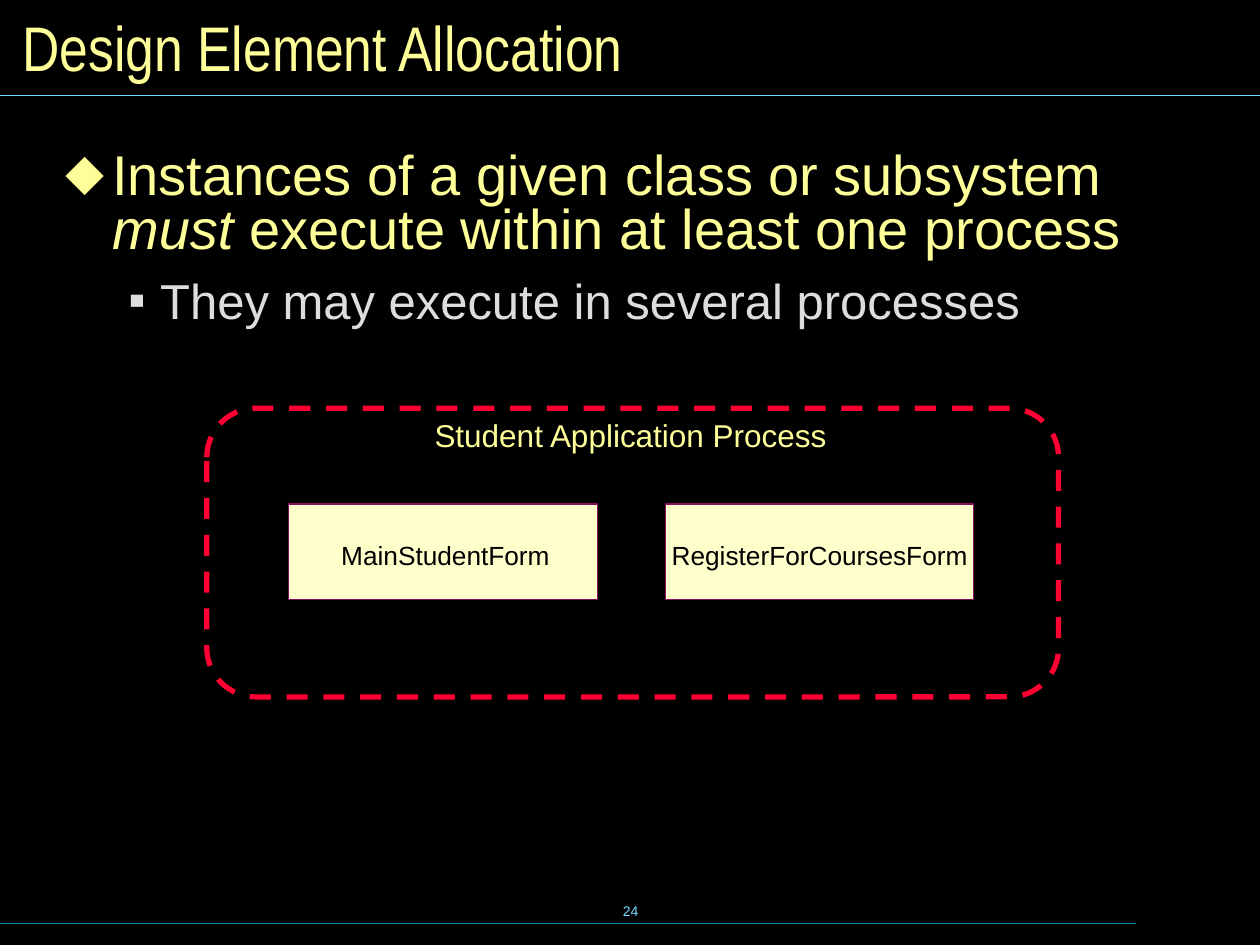
import pptx
import pptx.util
import pptx.dml.color
import pptx.enum.dml
import pptx.enum.shapes
import pptx.enum.text
import lxml.etree
import pptx.oxml.ns

Cm, Pt = pptx.util.Cm, pptx.util.Pt
SHAPE = pptx.enum.shapes.MSO_SHAPE
ALIGN = pptx.enum.text.PP_ALIGN
ANCHOR = pptx.enum.text.MSO_ANCHOR
qn = pptx.oxml.ns.qn
YELLOW, CYAN, CREAM, GRAY = "FFFF99", "73E1FF", "FFFFCC", "DDDDDD"


def color(value):
    return pptx.dml.color.RGBColor.from_string(value)


def add_run(paragraph, text, size, value, font="Arial", italic=False):
    run = paragraph.add_run()
    run.text = text
    run.font.size = Pt(size)
    run.font.name = font
    run.font.italic = italic
    run.font.color.rgb = color(value)


presentation = pptx.Presentation()
presentation.slide_width, presentation.slide_height = Cm(25.4), Cm(19.05)
slide = presentation.slides.add_slide(presentation.slide_layouts[1])
slide.background.fill.solid()
slide.background.fill.fore_color.rgb = color("000000")

# Slide number
number = slide.shapes.add_textbox(Cm(8.69), Cm(17.73), Cm(8.05), Cm(1.27))
number.text_frame.word_wrap = True
number.text_frame.vertical_anchor = ANCHOR.MIDDLE
paragraph = number.text_frame.paragraphs[0]
paragraph.alignment = ALIGN.CENTER
add_run(paragraph, "24", 8, CYAN)

# Rules under the title and at the foot
for top, right, value in [(18.62, 22.91, "007E9F"), (1.93, 25.4, CYAN)]:
    rule = slide.shapes.add_connector(
        pptx.enum.shapes.MSO_CONNECTOR.STRAIGHT, Cm(0), Cm(top), Cm(right), Cm(top))
    rule.line.color.rgb = color(value)
    rule.line.width = Pt(0.75)
    lxml.etree.SubElement(rule._element.spPr, qn("a:effectLst"))

# Title
title = slide.shapes.title
title.left, title.top, title.width, title.height = Cm(0.2), Cm(0.2), Cm(24.99), Cm(1.47)
title.text_frame.auto_size = pptx.enum.text.MSO_AUTO_SIZE.NONE
title.text_frame.vertical_anchor = ANCHOR.MIDDLE
paragraph = title.text_frame.paragraphs[0]
paragraph.alignment = ALIGN.LEFT
add_run(paragraph, "Design Element Allocation", 36, YELLOW, "Arial Narrow")

# Bulleted list: level, indent, hanging, bullet, spacing, before, size, colour, runs
body = slide.placeholders[1]
body.left, body.top, body.width, body.height = Cm(1.02), Cm(2.92), Cm(23.6), Cm(4.9)
frame = body.text_frame
frame.auto_size = pptx.enum.text.MSO_AUTO_SIZE.NONE
frame.margin_left = frame.margin_right = Cm(0.3)
frame.margin_top = frame.margin_bottom = Cm(0.15)
items = [
    (0, 0.94, 0.94, "⬥", 0.8, 0, 32, YELLOW,
     [("Instances of a given class or subsystem ", False), ("must ", True),
      ("execute within at least one process", False)]),
    (1, 1.91, 0.64, "▪", 0.87, 10.5, 28, GRAY,
     [("They may execute in several processes", False)]),
]
for level, indent, hanging, bullet, spacing, before, size, value, runs in items:
    paragraph = frame.paragraphs[0] if level == 0 else frame.add_paragraph()
    paragraph.level = level
    properties = paragraph._p.get_or_add_pPr()
    properties.set("marL", str(Cm(indent)))
    properties.set("indent", str(-Cm(hanging)))
    bullet_color = lxml.etree.SubElement(properties, qn("a:buClr"))
    lxml.etree.SubElement(bullet_color, qn("a:srgbClr"), val=value)
    lxml.etree.SubElement(properties, qn("a:buChar"), char=bullet)
    paragraph.line_spacing = spacing
    paragraph.space_before = Pt(before)
    for text, italic in runs:
        add_run(paragraph, text, size, value, italic=italic)

# Class boxes with their labels
classes = [("RegisterForCoursesForm", 13.41, 13.54, 5.97),
           ("MainStudentForm", 5.82, 6.88, 4.22)]
for name, box_left, label_left, label_width in classes:
    box = slide.shapes.add_shape(SHAPE.RECTANGLE, Cm(box_left), Cm(10.16), Cm(6.22), Cm(1.93))
    label = slide.shapes.add_shape(
        SHAPE.RECTANGLE, Cm(label_left), Cm(10.87), Cm(label_width), Cm(0.64))
    for shape in (box, label):
        shape.shadow.inherit = False
        shape.fill.solid()
        shape.fill.fore_color.rgb = color(CREAM)
    box.line.color.rgb = color("8A0E5E")
    box.line.width = Pt(0)
    label.line.fill.background()
    frame = label.text_frame
    frame.word_wrap = False
    frame.vertical_anchor = ANCHOR.TOP
    frame.margin_left = frame.margin_right = frame.margin_top = frame.margin_bottom = 0
    frame.paragraphs[0].alignment = ALIGN.LEFT
    add_run(frame.paragraphs[0], name, 15, "000000")

# Process boundary
boundary = slide.shapes.add_shape(
    SHAPE.ROUNDED_RECTANGLE, Cm(4.17), Cm(8.23), Cm(17.17), Cm(5.82))
boundary.adjustments[0] = 0.17
boundary.shadow.inherit = False
boundary.fill.background()
boundary.line.color.rgb = color("FF0033")
boundary.line.width = Pt(3)
boundary.line.dash_style = pptx.enum.dml.MSO_LINE.DASH

# Process name
heading = slide.shapes.add_textbox(Cm(8.46), Cm(8.23), Cm(8.53), Cm(1.07))
frame = heading.text_frame
frame.word_wrap = False
frame.margin_left = frame.margin_right = Cm(0.3)
frame.margin_top = frame.margin_bottom = Cm(0.15)
add_run(frame.paragraphs[0], "Student Application Process", 18, YELLOW)

presentation.save("out.pptx")
